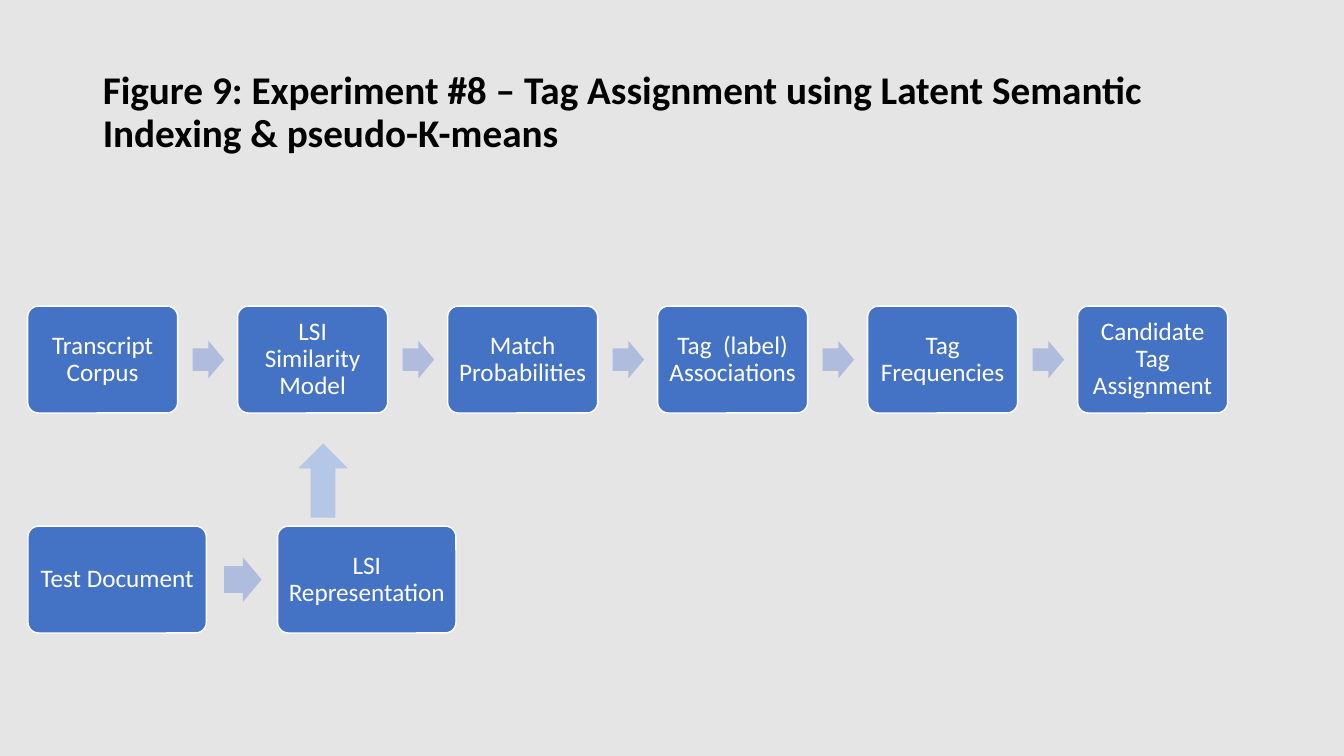
from pptx import Presentation
from pptx.dml.color import RGBColor
from pptx.enum.shapes import MSO_SHAPE
from pptx.enum.text import MSO_ANCHOR, MSO_AUTO_SIZE, PP_ALIGN
from pptx.util import Inches, Pt

GREY = RGBColor(0xE5, 0xE5, 0xE5)
BLACK = RGBColor(0x00, 0x00, 0x00)
WHITE = RGBColor(0xFF, 0xFF, 0xFF)
BLUE = RGBColor(0x44, 0x72, 0xC4)
LILAC = RGBColor(0xB0, 0xBC, 0xDE)
SKY = RGBColor(0xB4, 0xC7, 0xE7)


class Deck:
    """Style and current slide; lengths are on a grid of 100 columns by 100 rows."""
    face = "Calibri"

    def __init__(self):
        self.prs = Presentation()
        self.prs.slide_width, self.prs.slide_height = Inches(13.33), Inches(7.5)
        self.col = self.prs.slide_width / 100
        self.row = self.prs.slide_height / 100
        self.slide = self.prs.slides.add_slide(self.prs.slide_layouts[5])
        fill = self.slide.background.fill
        fill.solid()
        fill.fore_color.rgb = GREY

    def place(self, x, y, w, h):
        return (round(x * self.col), round(y * self.row),
                round(w * self.col), round(h * self.row))

    def label(self, shape, text, size, color, align, bold=False):
        frame = shape.text_frame
        frame.text = text
        frame.word_wrap = True
        frame.auto_size = MSO_AUTO_SIZE.NONE
        frame.vertical_anchor = MSO_ANCHOR.MIDDLE
        par = frame.paragraphs[0]
        par.alignment, par.line_spacing = align, 0.9
        font = par.font
        font.name, font.size, font.bold = self.face, Pt(size), bold
        font.color.rgb = color

    def title(self, text, x, y, w, h):
        head = self.slide.shapes.title
        head.left, head.top, head.width, head.height = self.place(x, y, w, h)
        self.label(head, text, 28, BLACK, PP_ALIGN.LEFT, bold=True)

    def shape(self, kind, color, x, y, w, h):
        item = self.slide.shapes.add_shape(kind, *self.place(x, y, w, h))
        item.shadow.inherit = False
        item.fill.solid()
        item.fill.fore_color.rgb = color
        item.line.fill.background()
        return item

    def box(self, text, x, y, w, h):
        item = self.shape(MSO_SHAPE.ROUNDED_RECTANGLE, BLUE, x, y, w, h)
        item.adjustments[0] = 0.1
        item.line.color.rgb = WHITE
        item.line.width = Pt(1)
        frame = item.text_frame
        frame.margin_left = frame.margin_right = Inches(0.07)
        frame.margin_top = frame.margin_bottom = Inches(0.07)
        self.label(item, text, 18, WHITE, PP_ALIGN.CENTER)

    def arrow(self, x, mid, w, h):
        item = self.shape(MSO_SHAPE.RIGHT_ARROW, LILAC, x, mid - h / 2, w, h)
        item.adjustments[0] = 0.6

    def flow(self, steps, x, y, w, h):
        """Boxes 0.4 of a box apart, with an arrow in each gap."""
        tall = 0.25 * w * self.col / self.row
        for i, step in enumerate(steps):
            left = x + 1.4 * w * i
            if i:
                self.arrow(left - 0.3 * w, y + h / 2, 0.21 * w, tall)
            self.box(step, left, y, w, h)


def main():
    deck = Deck()
    deck.title("Figure 9: Experiment #8 – Tag Assignment using "
               "Latent Semantic Indexing & pseudo-K-means", 6.9, 5.33, 86.25, 19.33)

    # Model chain
    deck.flow(["Transcript Corpus", "LSI Similarity Model", "Match Probabilities",
               "Tag  (label) Associations", "Tag Frequencies",
               "Candidate Tag Assignment"], 2.06, 40.5, 11.16, 14.13)

    # Test chain, feeding the model
    deck.flow(["Test Document", "LSI Representation"], 2.08, 69.6, 13.27, 14.13)
    deck.shape(MSO_SHAPE.UP_ARROW, SKY, 22.2, 58.67, 3.68, 9.8)

    deck.prs.save("out.pptx")


if __name__ == "__main__":
    main()
